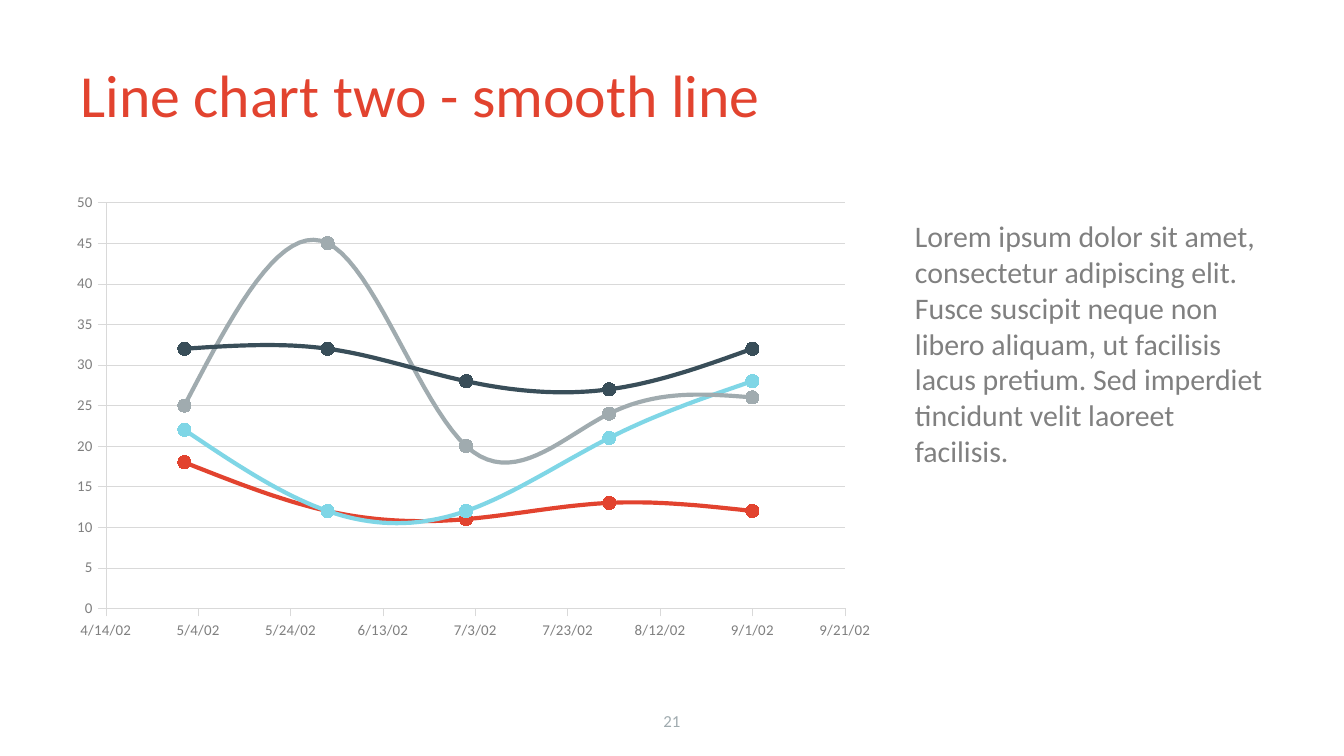
from lxml.etree import SubElement
from pptx import Presentation
from pptx.chart.data import XyChartData
from pptx.dml.color import RGBColor
from pptx.enum.chart import XL_CHART_TYPE, XL_MARKER_STYLE, XL_TICK_MARK
from pptx.enum.text import MSO_ANCHOR, PP_ALIGN
from pptx.oxml.ns import qn
from pptx.util import Inches, Pt

FONT = "Calibri"
GRID = "D9D9D9"
WIDTH = Inches(10)
HEIGHT = WIDTH * 9 // 16

TEXTS = [
    {"text": "Line chart two - smooth line", "box": (5, 4.1, 90, 16.7),
     "size": 32, "color": "E2432F", "anchor": MSO_ANCHOR.MIDDLE, "align": PP_ALIGN.LEFT},
    {"text": "21", "box": (38.35, 92.7, 23.3, 5.33),
     "size": 9, "color": "A0ABAF", "anchor": MSO_ANCHOR.MIDDLE, "align": PP_ALIGN.CENTER},
    {"text": "Lorem ipsum dolor sit amet, consectetur adipiscing elit. Fusce suscipit "
             "neque non libero aliquam, ut facilisis lacus pretium. Sed imperdiet "
             "tincidunt velit laoreet facilisis.",
     "box": (67.1, 27.95, 28.6, 55.8),
     "size": 16, "color": "808080", "anchor": MSO_ANCHOR.TOP, "align": PP_ALIGN.LEFT},
]
CHART_BOX = (4.5, 24.36, 61.5, 61.5)
PLOT = {"x": 0.055, "y": 0.04, "w": 0.894, "h": 0.873}
DAYS = [37377, 37408, 37438, 37469, 37500]
SERIES = [
    ("Series 1", "394E59", [32, 32, 28, 27, 32]),
    ("Series 2", "A0ABAF", [25, 45, 20, 24, 26]),
    ("Series 3", "7FD6E6", [22, 12, 12, 21, 28]),
    ("Series 4", "E2432F", [18, 12, 11, 13, 12]),
]
AXES = {
    "category_axis": {"minimum_scale": 37360, "maximum_scale": 37520, "major_unit": 20,
                      "has_major_gridlines": False},
    "value_axis": {"minimum_scale": 0, "maximum_scale": 50, "major_unit": 5,
                   "has_major_gridlines": True},
}
FORMATS = {"category_axis": "m/d/yy", "value_axis": "General"}


def rgb(value):
    return RGBColor.from_string(value)


def place(box):
    return [int(side * share / 100) for side, share in zip((WIDTH, HEIGHT) * 2, box)]


def assign(target, values):
    for name, value in values.items():
        setattr(target, name, value)


def style_line(line, color, width):
    line.color.rgb = rgb(color)
    line.width = Pt(width)


def add_text(item):
    tf = s.shapes.add_textbox(*place(item["box"])).text_frame
    assign(tf, {"word_wrap": True, "vertical_anchor": item["anchor"]})
    p = tf.paragraphs[0]
    p.alignment = item["align"]
    r = p.add_run()
    r.text = item["text"]
    assign(r.font, {"name": FONT, "size": Pt(item["size"])})
    r.font.color.rgb = rgb(item["color"])


def set_plot_area(chart):
    area = chart._chartSpace.chart.plotArea
    layout = area.find(qn("c:layout"))
    if layout is None:
        layout = SubElement(area, qn("c:layout"))
        area.insert(0, layout)
    manual = SubElement(layout, qn("c:manualLayout"))
    values = {"layoutTarget": "inner", "xMode": "edge", "yMode": "edge", **PLOT}
    for name, value in values.items():
        SubElement(manual, qn(f"c:{name}")).set("val", str(value))


def add_chart():
    data = XyChartData()
    for name, _, values in SERIES:
        series = data.add_series(name)
        for day, value in zip(DAYS, values):
            series.add_data_point(day, value)
    chart = s.shapes.add_chart(
        XL_CHART_TYPE.XY_SCATTER_SMOOTH, *place(CHART_BOX), data).chart
    assign(chart, {"has_legend": False, "has_title": False})
    assign(chart.font, {"name": FONT, "size": Pt(8)})
    chart.font.color.rgb = rgb("7F7F7F")
    chart.plots[0].vary_by_categories = False
    set_plot_area(chart)

    for name, values in AXES.items():
        axis = getattr(chart, name)
        assign(axis, {**values, "major_tick_mark": XL_TICK_MARK.OUTSIDE,
                      "minor_tick_mark": XL_TICK_MARK.NONE})
        assign(axis.tick_labels, {"number_format": FORMATS[name],
                                  "number_format_is_linked": False})
        style_line(axis.format.line, GRID, 0.25)
    style_line(chart.value_axis.major_gridlines.format.line, GRID, 0.25)

    for series, (_, color, _) in zip(chart.plots[0].series, SERIES):
        series._element.get_or_add_smooth().val = True
        style_line(series.format.line, color, 2.25)
        marker = series.marker
        assign(marker, {"style": XL_MARKER_STYLE.CIRCLE, "size": 7})
        marker.format.fill.solid()
        marker.format.fill.fore_color.rgb = rgb(color)
        style_line(marker.format.line, color, 0.75)


prs = Presentation()
assign(prs, {"slide_width": WIDTH, "slide_height": HEIGHT})
s = prs.slides.add_slide(prs.slide_layouts[6])
for item in TEXTS:
    add_text(item)
add_chart()
prs.save("out.pptx")
